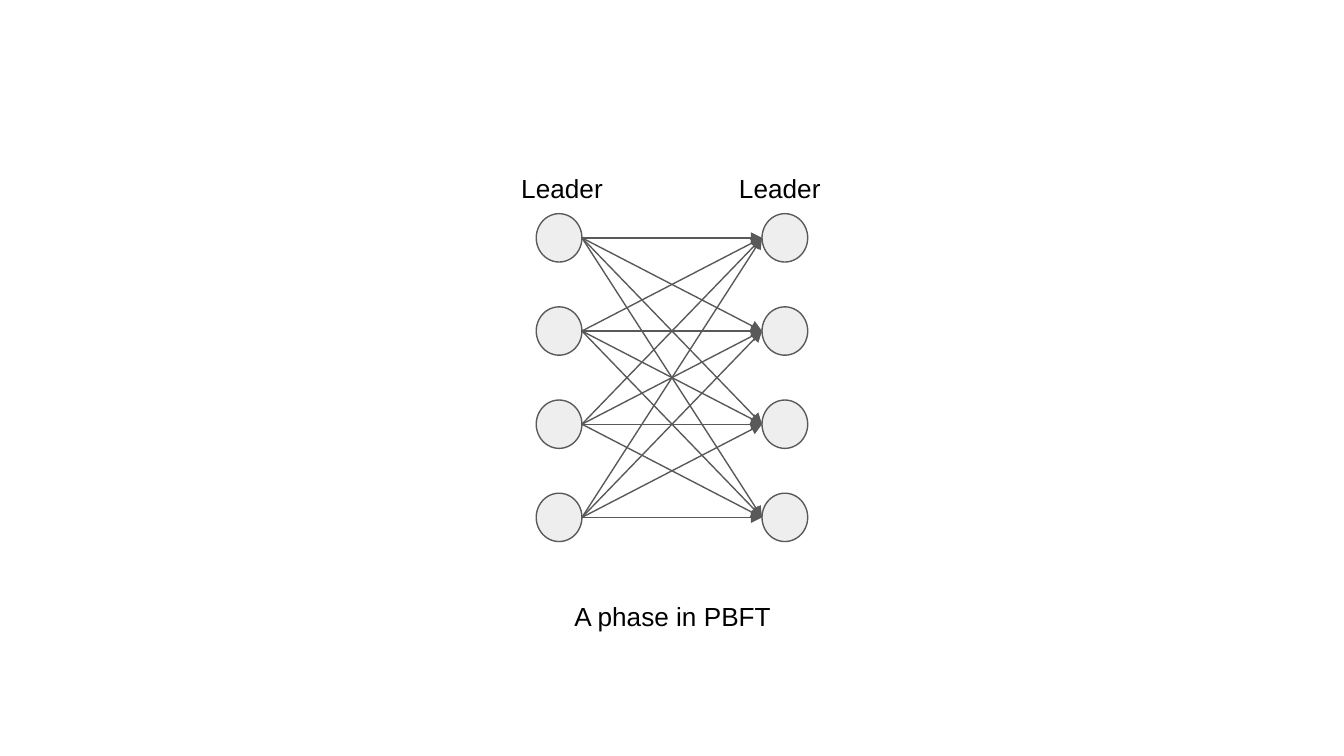
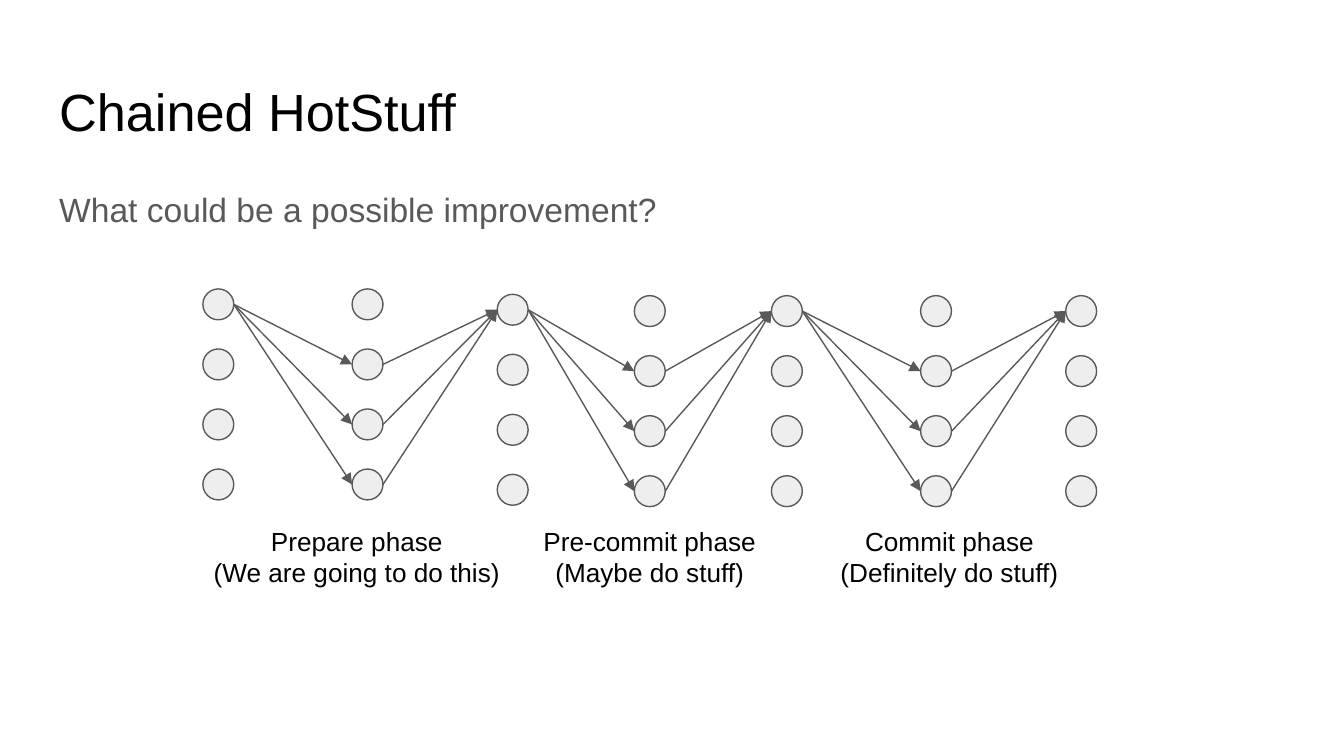
from itertools import product

from lxml import etree
from pptx import Presentation
from pptx.dml.color import RGBColor
from pptx.enum.shapes import MSO_CONNECTOR, MSO_SHAPE
from pptx.enum.text import MSO_ANCHOR, MSO_AUTO_SIZE, PP_ALIGN
from pptx.oxml.ns import qn
from pptx.util import Inches, Pt

STRAIGHT = MSO_CONNECTOR.STRAIGHT
OVAL = MSO_SHAPE.OVAL
TOP = MSO_ANCHOR.TOP
NO_FIT = MSO_AUTO_SIZE.NONE
LEFT = PP_ALIGN.LEFT
CENTER = PP_ALIGN.CENTER

FONT = "Arial"
BLACK = "000000"
GRAY = "595959"
NODE_FILL = "EEEEEE"
LINE_WIDTH = Pt(0.75)
REPLICAS = 4


def color(hex_code):
    return RGBColor.from_string(hex_code)


def style_text(box, lines, size, hex_code, align):
    frame = box.text_frame
    frame.text = "\n".join(lines)
    frame.word_wrap = True
    frame.auto_size = NO_FIT
    frame.vertical_anchor = TOP
    frame.margin_left = frame.margin_right = Inches(0.1)
    frame.margin_top = frame.margin_bottom = Inches(0.1)
    for para in frame.paragraphs:
        para.alignment = align
        para.space_before = Pt(0)
        for span in para.runs:
            span.font.name = FONT
            span.font.size = Pt(size)
            span.font.color.rgb = color(hex_code)


def add_label(page, left, top, width, height, lines, align=CENTER):
    box = page.shapes.add_textbox(Inches(left), Inches(top), Inches(width), Inches(height))
    style_text(box, lines, 14, BLACK, align)


def fill_placeholder(box, left, top, width, height, text, size, hex_code):
    box.left, box.top = Inches(left), Inches(top)
    box.width, box.height = Inches(width), Inches(height)
    style_text(box, [text], size, hex_code, LEFT)


def remove_bullet(para):
    properties = para._p.get_or_add_pPr()
    properties.set("marL", "0")
    properties.set("indent", "0")
    etree.SubElement(properties, qn("a:buNone"))


def add_column(page, left, top, drop, width, height):
    """Stack the replicas; drop is the distance from the first to the last."""
    nodes = []
    for row in range(REPLICAS):
        node_top = top + drop * row / (REPLICAS - 1)
        node = page.shapes.add_shape(
            OVAL, Inches(left), Inches(node_top), Inches(width), Inches(height))
        node.shadow.inherit = False
        node.fill.solid()
        node.fill.fore_color.rgb = color(NODE_FILL)
        node.line.color.rgb = color(GRAY)
        node.line.width = LINE_WIDTH
        nodes.append(node)
    return nodes


def add_arrows(page, senders, receivers):
    """Draw a message from every sender to every receiver."""
    for sender, receiver in product(senders, receivers):
        arrow = page.shapes.add_connector(
            STRAIGHT,
            sender.left + sender.width, sender.top + sender.height // 2,
            receiver.left, receiver.top + receiver.height // 2)
        arrow.line.color.rgb = color(GRAY)
        arrow.line.width = LINE_WIDTH
        etree.SubElement(arrow.line._get_or_add_ln(), qn("a:tailEnd"), type="triangle")
        etree.SubElement(arrow._element.spPr, qn("a:effectLst"))


def build_pbft(deck):
    page = deck.slides.add_slide(deck.slide_layouts[6])
    senders, receivers = [
        add_column(page, left, 1.59, 2.08, 0.34, 0.36) for left in (3.99, 5.67)]
    add_arrows(page, senders, receivers)
    add_label(page, 2.81, 4.37, 4.39, 0.77, ["A phase in PBFT"])
    for left in (3.78, 5.4):
        add_label(page, left, 1.18, 0.98, 0.27, ["Leader"], LEFT)


def build_hotstuff(deck):
    page = deck.slides.add_slide(deck.slide_layouts[1])
    title, body = page.placeholders
    fill_placeholder(title, 0.34, 0.49, 9.32, 0.63, "Chained HotStuff", 28, BLACK)
    fill_placeholder(body, 0.34, 1.26, 8.95, 0.56,
                     "What could be a possible improvement?", 18, GRAY)
    question = body.text_frame.paragraphs[0]
    question.line_spacing = 1.15
    question.space_after = Pt(16)
    remove_bullet(question)

    column_places = [(1.51, 2.15), (2.62, 2.15), (3.7, 2.19), (4.72, 2.2),
                     (5.74, 2.2), (6.85, 2.2), (7.93, 2.2)]
    columns = [add_column(page, left, top, 1.34, 0.23, 0.23) for left, top in column_places]
    for step, (current, following) in enumerate(zip(columns, columns[1:])):
        if step % 2 == 0:
            add_arrows(page, current[:1], following[1:])
        else:
            add_arrows(page, current[1:], following[:1])

    phases = [
        (1.48, 2.35, "Prepare phase", "(We are going to do this)"),
        (3.9, 1.87, "Pre-commit phase", "(Maybe do stuff)"),
        (6.13, 1.87, "Commit phase", "(Definitely do stuff)"),
    ]
    for left, width, *lines in phases:
        add_label(page, left, 3.81, width, 0.45, lines)


def main():
    deck = Presentation()
    deck.slide_width = Inches(10)
    deck.slide_height = deck.slide_width * 9 // 16
    build_pbft(deck)
    build_hotstuff(deck)
    deck.save("out.pptx")


if __name__ == "__main__":
    main()
